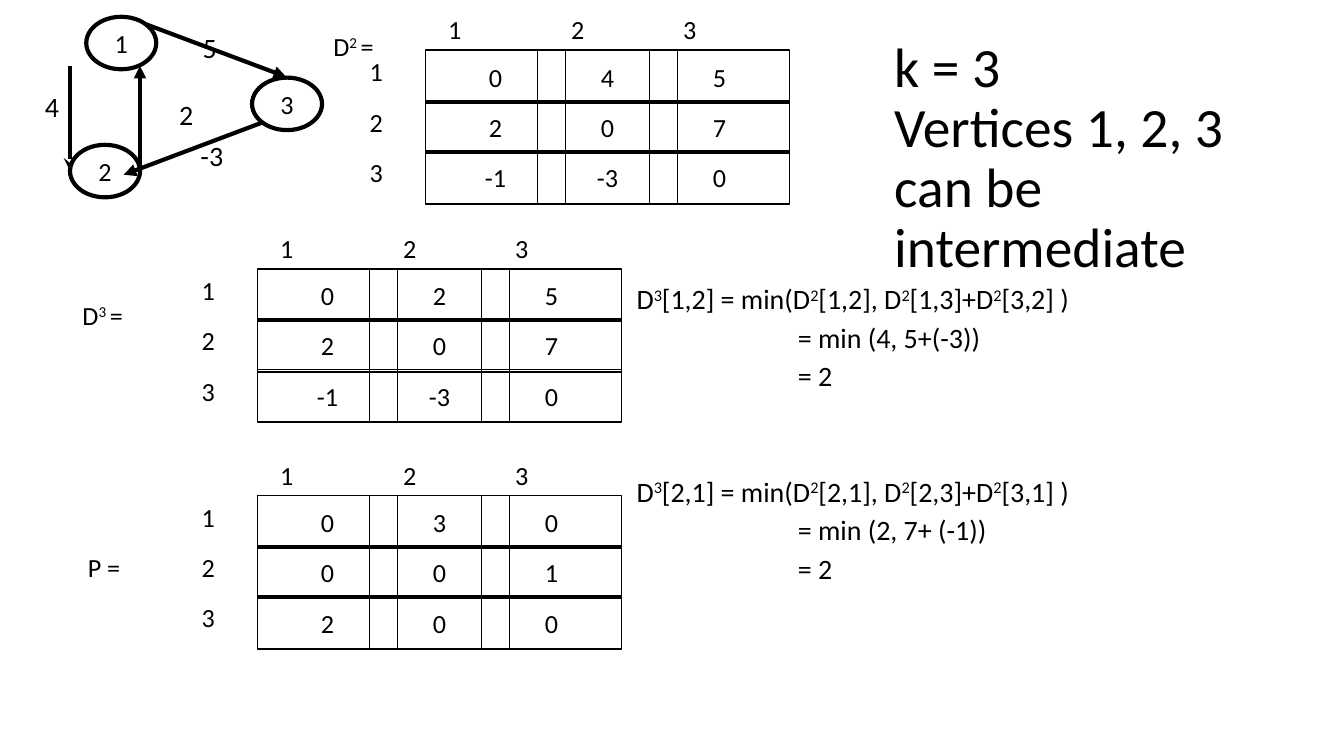
from dataclasses import dataclass

from lxml.etree import SubElement
from pptx import Presentation
from pptx.dml.color import RGBColor
from pptx.enum.shapes import MSO_CONNECTOR, MSO_SHAPE
from pptx.enum.text import MSO_ANCHOR, PP_ALIGN
from pptx.oxml.ns import qn
from pptx.util import Inches, Pt


@dataclass(frozen=True)
class Theme:
    ink: RGBColor = RGBColor(0, 0, 0)
    font: str = "Calibri"
    title: float = 29.7
    formula: float = 15
    label: float = 14
    cell_line: float = 1
    graph_line: float = 2.25


theme = Theme()

WIDTH, HEIGHT = Inches(10), Inches(5.625)
COLUMN, ROW = WIDTH / 120, HEIGHT / 90
INSET_X, INSET_Y = Inches(0.07), Inches(0.04)
CELL = (12.5, 6.25)
CELL_PITCH = (10, 6)
NODE = (6.25, 6.25)
INDEX_BOX = (4, 5)
COLUMN_INDEX_OFFSETS = (2, 13, 23)
COLUMN_INDEX_RISE = 5
ROW_INDEX_OFFSET = 5
FORMULA_BOX = (61, 16)
RESULT_INDENT = Inches(1.2)

title_lines = ["k = 3", "Vertices 1, 2, 3 can be intermediate"]

matrices = [
    {"name": " D^3 ^=", "name_box": (6, 35, 6, 5), "corner": (23, 32),
     "values": [["0", "2", "5"], ["2", "0", "7"], ["-1", "-3", "0"]]},
    {"name": "P =", "name_box": (7, 65, 4.7, 8.8), "corner": (23, 59),
     "values": [["0", "3", "0"], ["0", "0", "1"], ["2", "0", "0"]]},
    {"name": " D^2 ^=", "name_box": (28.4, 3, 6, 5), "corner": (38, 6),
     "values": [["0", "4", "5"], ["2", "0", "7"], ["-1", "-3", "0"]]},
]

formulas = [
    ((56, 34), ["D^3^[1,2] = min(D^2^[1,2], D^2^[1,3]+D^2^[3,2] )",
                "= min (4, 5+(-3))", "= 2"]),
    ((56, 56.9), ["D^3^[2,1] = min(D^2^[2,1], D^2^[2,3]+D^2^[3,1] )",
                  "= min (2, 7+ (-1))", "= 2"]),
]

vertices = [("1", 7.7, 2), ("2", 6.25, 17.25), ("3", 22.5, 9.25)]
edges = [
    ((13.05, 2.9), (25.55, 9.15), "triangle"),
    ((23.5, 14.55), (11.05, 20.8), "triangle"),
    ((6.25, 7.85), (6.25, 20.3), "stealth"),
    ((12.5, 20.3), (12.5, 7.85), "triangle"),
]
weights = [("5", 18.1, 3), ("-3", 17.9, 15.8), ("2", 16, 11), ("4", 4, 10)]

deck = Presentation()
deck.slide_width, deck.slide_height = WIDTH, HEIGHT
slide = deck.slides.add_slide(deck.slide_layouts[6])


def place(x, y):
    return round(x * COLUMN), round(y * ROW)


def add_run(paragraph, words, size, raised=False):
    run = paragraph.add_run()
    run.text = words
    run.font.size = Pt(size)
    run.font.name = theme.font
    run.font.color.rgb = theme.ink
    if raised:
        run.font._element.set("baseline", "30000")


def add_marked(paragraph, marked, size):
    for position, words in enumerate(marked.split("^")):
        add_run(paragraph, words, size, position % 2 == 1)


def prepare(frame):
    frame.word_wrap = True
    frame.margin_left = frame.margin_right = INSET_X
    frame.margin_top = frame.margin_bottom = INSET_Y
    return frame


def add_box(x, y, width, height):
    box = slide.shapes.add_textbox(*place(x, y), *place(width, height))
    return prepare(box.text_frame)


def add_label(marked, x, y, width, height, size=theme.label):
    add_marked(add_box(x, y, width, height).paragraphs[0], marked, size)


def add_index(words, x, y, size=theme.label):
    add_label(words, x - INSET_X / COLUMN, y, *INDEX_BOX, size)


def add_outline(preset, words, x, y, size, weight):
    outline = slide.shapes.add_shape(preset, *place(x, y), *place(*size))
    outline.shadow.inherit = False
    outline.fill.background()
    outline.line.color.rgb = theme.ink
    outline.line.width = Pt(weight)
    frame = prepare(outline.text_frame)
    frame.vertical_anchor = MSO_ANCHOR.MIDDLE
    frame.paragraphs[0].alignment = PP_ALIGN.CENTER
    add_run(frame.paragraphs[0], words, theme.label)


def add_edge(start, end, head):
    edge = slide.shapes.add_connector(MSO_CONNECTOR.STRAIGHT, *place(*start), *place(*end))
    edge.line.color.rgb = theme.ink
    edge.line.width = Pt(theme.graph_line)
    SubElement(edge.line._get_or_add_ln(), qn("a:tailEnd"), type=head)
    SubElement(edge._element.spPr, qn("a:effectLst"))


def add_matrix(matrix):
    left, top = matrix["corner"]
    add_label(matrix["name"], *matrix["name_box"])
    for row, values in enumerate(matrix["values"]):
        y = top + row * CELL_PITCH[1]
        for column, value in enumerate(values):
            add_outline(MSO_SHAPE.RECTANGLE, value, left + column * CELL_PITCH[0], y,
                        CELL, theme.cell_line)
        add_index(str(row + 1), left - ROW_INDEX_OFFSET, y)
    for index, offset in enumerate(COLUMN_INDEX_OFFSETS, 1):
        add_index(str(index), left + offset, top - COLUMN_INDEX_RISE)


def add_formula(corner, lines):
    frame = add_box(*corner, *FORMULA_BOX)
    for position, line in enumerate(lines):
        paragraph = frame.add_paragraph() if position else frame.paragraphs[0]
        paragraph.line_spacing = 0.7
        if position:
            paragraph.space_before = Pt(8)
            paragraph._p.get_or_add_pPr().set("marL", str(RESULT_INDENT))
        add_marked(paragraph, line, theme.formula)


for matrix in matrices:
    add_matrix(matrix)
for corner, lines in formulas:
    add_formula(corner, lines)
for vertex, x, y in vertices:
    add_outline(MSO_SHAPE.OVAL, vertex, x, y, NODE, theme.graph_line)
for edge in edges:
    add_edge(*edge)
for weight, x, y in weights:
    add_index(weight, x, y, theme.formula)

heading = add_box(79, 8, 35, 22)
heading.vertical_anchor = MSO_ANCHOR.MIDDLE
heading.paragraphs[0].line_spacing = 0.9
for position, line in enumerate(title_lines):
    if position:
        heading.paragraphs[0].add_line_break()
    add_run(heading.paragraphs[0], line, theme.title)

deck.save("out.pptx")
